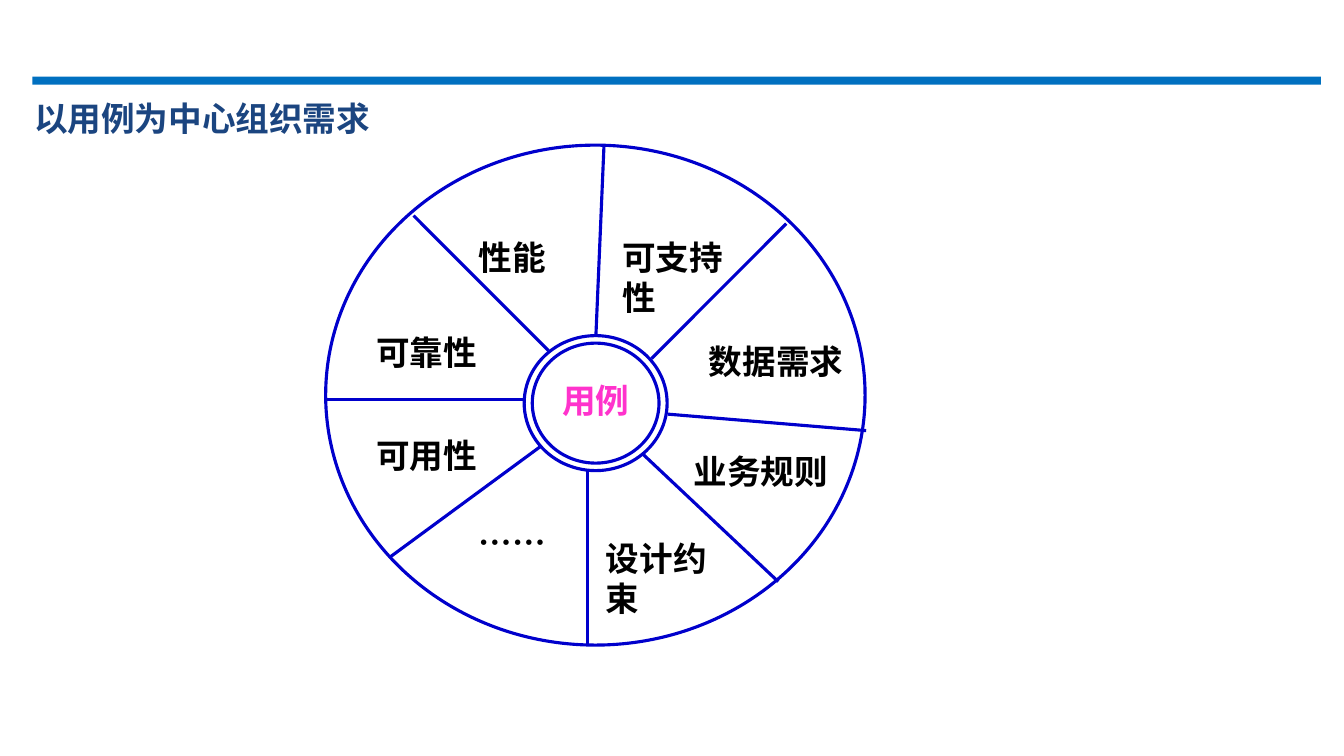
from collections import namedtuple
from dataclasses import dataclass

from lxml import etree
from pptx import Presentation, util as u
from pptx.dml.color import RGBColor
from pptx.enum import shapes, text
from pptx.oxml.ns import qn

Box = namedtuple("Box", "left top width height")


@dataclass(frozen=True)
class Theme:
    font: str = "Noto Sans CJK SC"
    size: float = 24
    stroke: float = 2.25
    rule: str = "0070C0"
    title: str = "1B4580"
    wheel: str = "0000CC"
    hub: str = "FF33CC"
    label: str = "000000"


THEME = Theme()
SLIDE = Box(0, 0, 13.33, 7.5)
HEADER = Box(0.24, 0.76, 12.86, 0.66)
WHEEL = Box(3.23, 1.44, 5.35, 4.96)
HUB = Box(36.8, 38.1, 26.5, 27)
RING_GAP = 1.5
ONE_LINE, TWO_LINES = 10.1, 18.3

SPOKES = [
    ((60.4, 42.7), (85.4, 15.7)),
    ((63.4, 53.8), (100.2, 57.1)),
    ((50.1, 38.1), (51.6, 0)),
    ((41.3, 41.1), (16.3, 14.1)),
    ((39.8, 60.3), (11.8, 82.5)),
    ((48.6, 65.1), (48.6, 100)),
    ((58.9, 61.9), (83.9, 87.3)),
    ((36.8, 50.8), (0, 50.8)),
]
LABELS = [
    ("可支持性", Box(53.1, 17.3, 23.6, TWO_LINES)),
    ("数据需求", Box(69.2, 38.1, 29.4, ONE_LINE)),
    ("业务规则", Box(66.4, 60.1, 30.9, ONE_LINE)),
    ("设计约束", Box(50.1, 77.6, 26.5, TWO_LINES)),
    ("……", Box(26.5, 74.4, 26.5, ONE_LINE)),
    ("可用性", Box(7.5, 56.9, 32.3, ONE_LINE)),
    ("可靠性", Box(7.5, 36.3, 28, ONE_LINE)),
    ("性能", Box(26.5, 17.3, 26.5, ONE_LINE)),
]


def point_in(box, column, row):
    return box.left + box.width * column / 100, box.top + box.height * row / 100


def box_in(box, part):
    left, top = point_in(box, part.left, part.top)
    return Box(left, top, box.width * part.width / 100, box.height * part.height / 100)


def inches(values):
    return [u.Inches(value) for value in values]


def add_text(slide, box, content, color, align=text.PP_ALIGN.LEFT, wrap=True):
    frame = slide.shapes.add_textbox(*inches(box)).text_frame
    frame.word_wrap = wrap
    paragraph = frame.paragraphs[0]
    paragraph.alignment = align
    run = paragraph.add_run()
    run.text = content
    run.font.name = THEME.font
    run.font.size = u.Pt(THEME.size)
    run.font.bold = True
    run.font.color.rgb = RGBColor.from_string(color)
    east_asian = etree.SubElement(run.font._element, qn("a:ea"))
    east_asian.set("typeface", THEME.font)


def set_stroke(line):
    line.color.rgb = RGBColor.from_string(THEME.wheel)
    line.width = u.Pt(THEME.stroke)


def add_ring(slide, box):
    ring = slide.shapes.add_shape(shapes.MSO_SHAPE.OVAL, *inches(box))
    ring.shadow.inherit = False
    ring.fill.background()
    set_stroke(ring.line)


def add_spoke(slide, start, end):
    spoke = slide.shapes.add_connector(
        shapes.MSO_CONNECTOR.STRAIGHT, *inches(start + end))
    set_stroke(spoke.line)
    etree.SubElement(spoke._element.spPr, qn("a:effectLst"))


def add_header(slide, box):
    rule = slide.shapes.add_shape(
        shapes.MSO_SHAPE.RECTANGLE,
        *inches((box.left + 0.08, box.top, box.width - 0.08, 0.08)))
    rule.shadow.inherit = False
    rule.fill.solid()
    rule.fill.fore_color.rgb = RGBColor.from_string(THEME.rule)
    rule.line.fill.background()
    title_box = Box(box.left, box.top + 0.16, 3.57, 0.5)
    add_text(slide, title_box, "以用例为中心组织需求", THEME.title, wrap=False)


def add_wheel(slide, box):
    inner = Box(HUB.left + RING_GAP, HUB.top + RING_GAP,
                HUB.width - 2 * RING_GAP, HUB.height - 2 * RING_GAP)
    for ring in (inner, HUB):
        add_ring(slide, box_in(box, ring))
    add_text(slide, box_in(box, Box(39.8, 46, 20.6, ONE_LINE)), "用例",
             THEME.hub, align=text.PP_ALIGN.CENTER)
    add_ring(slide, box)
    for start, end in SPOKES:
        add_spoke(slide, point_in(box, *start), point_in(box, *end))
    for content, part in LABELS:
        add_text(slide, box_in(box, part), content, THEME.label)


def main():
    presentation = Presentation()
    presentation.slide_width, presentation.slide_height = inches(SLIDE[2:])
    slide = presentation.slides.add_slide(presentation.slide_layouts[6])
    add_header(slide, HEADER)
    add_wheel(slide, WHEEL)
    presentation.save("out.pptx")


if __name__ == "__main__":
    main()
